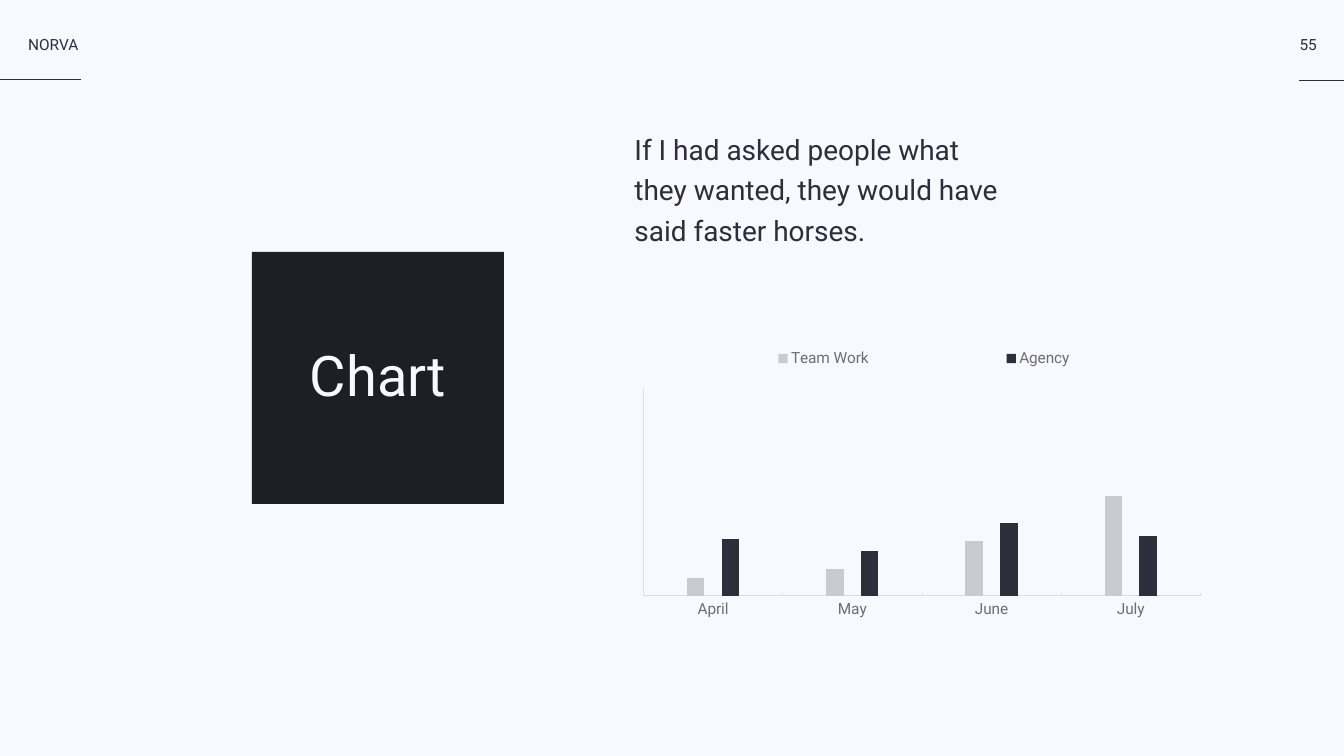
"""Build the chart slide: a dark title square, a quotation and a monthly column chart."""
from lxml.etree import SubElement
from pptx import Presentation
from pptx.chart.data import CategoryChartData
from pptx.dml.color import RGBColor as RGB
from pptx.enum.chart import XL_CHART_TYPE as CT, XL_LEGEND_POSITION as LP
from pptx.enum.chart import XL_TICK_LABEL_POSITION as TL, XL_TICK_MARK as TM
from pptx.enum.shapes import MSO_CONNECTOR as CONN, MSO_SHAPE as SHAPE
from pptx.enum.text import MSO_ANCHOR as ANCHOR, MSO_AUTO_SIZE as FIT, PP_ALIGN as AL
from pptx.oxml.ns import qn
from pptx.util import Inches, Pt

THEME = {
    "font": "Roboto",
    "bg": "F7F9FF", "ink": "2C2E3C", "square": "1C1F25",
    "label": "6A6E77", "axis": "DCDEE0", "bar": "C8CBD1",
    "small": 22, "quote": 40, "title": 80,
}
SIZE = (26.67, 15)
TITLE = ("Chart", (6.12, 6.76, 2.77, 1.47))
SQUARE = (5, 5, 5, 5)
QUOTE = ["If I had asked people what", "they wanted, they would have", "said faster horses."]
TEXTS = [
    (["NORVA"], (0.56, 0.69, 1.05, 0.4), "small", AL.LEFT, 1),
    (["55"], (25.78, 0.69, 0.36, 0.4), "small", AL.CENTER, 1),
    (QUOTE, (12.59, 2.5, 7.33, 2.5), "quote", AL.LEFT, 1.2),
]
RULES = [(0, 1.61, 1.58), (25.78, SIZE[0], 1.6)]
CHART_BOX = (12.59, 6.84, 11.29, 5.66)
PLOT_AREA = (0.18, 0.85, 11.05, 4.13)
LEGEND_AREA = (0.22, 0.02, 11.05, 0.51)
MONTHS = ["April", "May", "June", "July"]
SERIES = [("Team Work", [18, 27, 55, 100], "bar"), ("Agency", [57, 45, 73, 60], "ink")]
VALUE_AXIS = {
    "minimum_scale": 0, "maximum_scale": 208, "major_unit": 104,
    "has_major_gridlines": False, "major_tick_mark": TM.NONE,
    "minor_tick_mark": TM.NONE, "tick_label_position": TL.NONE,
}
MONTH_AXIS = {
    "has_major_gridlines": False, "major_tick_mark": TM.INSIDE,
    "minor_tick_mark": TM.NONE, "tick_label_position": TL.LOW,
}


def color(key):
    return RGB.from_string(THEME[key])


def apply(obj, values):
    for name, value in values.items():
        setattr(obj, name, value)


def inches(box):
    return [Inches(v) for v in box]


def paint(fill, key):
    fill.solid()
    fill.fore_color.rgb = color(key)


def style_font(font, size, key):
    apply(font, {"name": THEME["font"], "size": Pt(THEME[size]), "bold": False})
    font.color.rgb = color(key)


def write(sp, lines, size, key, align, spacing):
    tf = sp.text_frame
    apply(tf, {"text": "\n".join(lines), "word_wrap": False, "auto_size": FIT.SHAPE_TO_FIT_TEXT,
               "vertical_anchor": ANCHOR.TOP, "margin_left": 0, "margin_right": 0,
               "margin_top": 0, "margin_bottom": 0})
    for p in tf.paragraphs:
        apply(p, {"alignment": align, "line_spacing": spacing, "space_before": Pt(0)})
        style_font(p.runs[0].font, size, key)


def add_rule(s, left, right, y):
    line = s.shapes.add_connector(CONN.STRAIGHT, *inches((left, y, right, y)))
    line.line.width = Pt(2)
    line.line.color.rgb = color("ink")
    SubElement(line._element.spPr, qn("a:effectLst"))


def set_layout(parent, area, place, inner=False):
    for old in parent.findall(qn("c:layout")):
        parent.remove(old)
    layout = SubElement(parent, qn("c:layout"))
    manual = SubElement(layout, qn("c:manualLayout"))
    shares = [v / whole for v, whole in zip(area, CHART_BOX[2:] * 2)]
    values = [("layoutTarget", "inner")] if inner else []
    values += [("xMode", "edge"), ("yMode", "edge"), *zip("xywh", shares)]
    for tag, value in values:
        SubElement(manual, qn(f"c:{tag}")).set("val", str(value))
    parent.insert(place, layout)


def add_chart(s):
    data = CategoryChartData()
    data.categories = MONTHS
    for name, values, _ in SERIES:
        data.add_series(name, values)
    chart = s.shapes.add_chart(CT.COLUMN_CLUSTERED, *inches(CHART_BOX), data).chart
    apply(chart, {"has_title": False, "has_legend": True})
    style_font(chart.font, "small", "label")
    apply(chart.legend, {"position": LP.TOP, "include_in_layout": True})
    style_font(chart.legend.font, "small", "label")
    for axis, values in ((chart.category_axis, MONTH_AXIS), (chart.value_axis, VALUE_AXIS)):
        apply(axis, values)
        axis.format.line.width = Pt(1)
        axis.format.line.color.rgb = color("axis")
        style_font(axis.tick_labels.font, "small", "label")
    plot = chart.plots[0]
    apply(plot, {"gap_width": 500, "overlap": -100, "vary_by_categories": False})
    for series, (_, _, key) in zip(plot.series, SERIES):
        paint(series.format.fill, key)
    set_layout(chart._chartSpace.chart.plotArea, PLOT_AREA, 0, inner=True)
    set_layout(chart.legend._element, LEGEND_AREA, 1)


def main():
    prs = Presentation()
    prs.slide_width, prs.slide_height = inches(SIZE)
    s = prs.slides.add_slide(prs.slide_layouts[5])
    paint(s.background.fill, "bg")
    for rule in RULES:
        add_rule(s, *rule)
    for lines, box, size, align, spacing in TEXTS:
        write(s.shapes.add_textbox(*inches(box)), lines, size, "ink", align, spacing)
    square = s.shapes.add_shape(SHAPE.RECTANGLE, *inches(SQUARE))
    square.shadow.inherit = False
    paint(square.fill, "square")
    square.line.fill.background()
    title = s.shapes.title
    apply(title, dict(zip(("left", "top", "width", "height"), inches(TITLE[1]))))
    write(title, [TITLE[0]], "title", "bg", AL.CENTER, 1)
    square._element.addnext(title._element)
    add_chart(s)
    prs.save("out.pptx")


if __name__ == "__main__":
    main()
